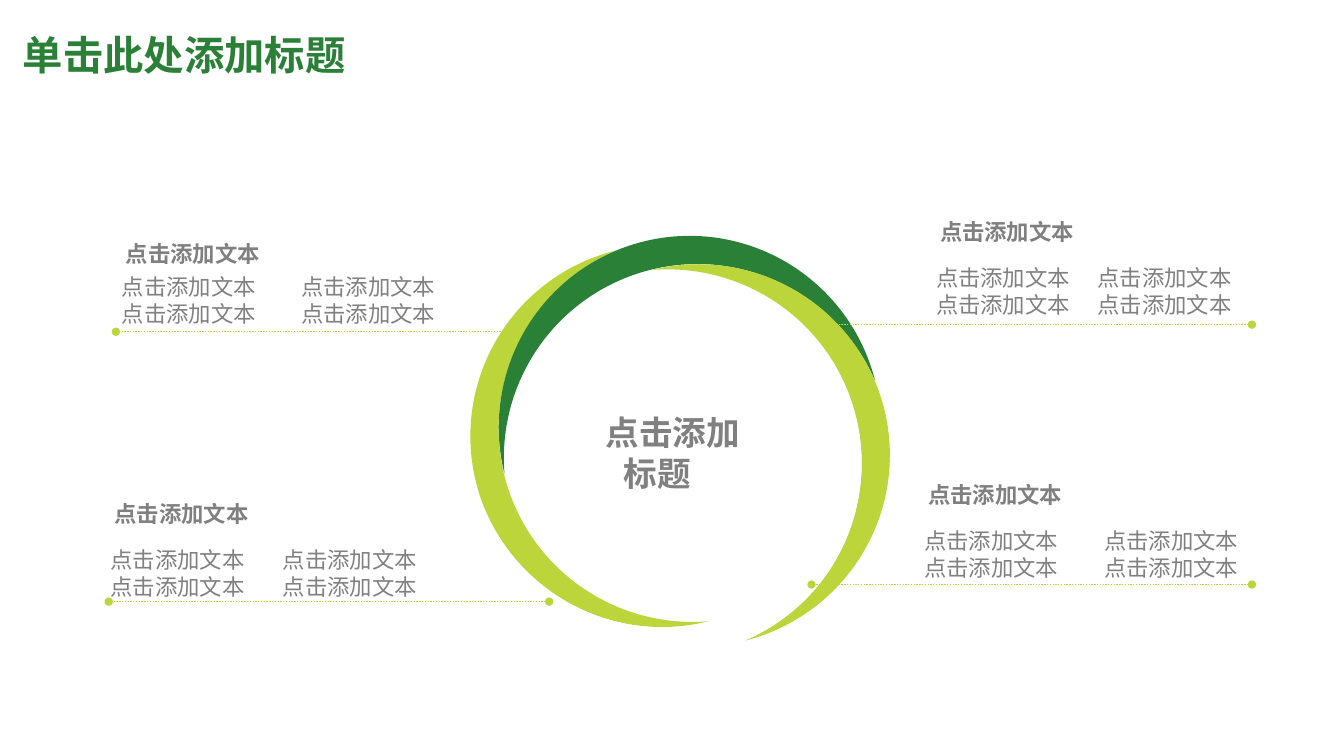
from math import cos, radians, sin

from lxml import etree
from pptx import Presentation
from pptx.dml.color import RGBColor
from pptx.enum.dml import MSO_LINE
from pptx.enum.shapes import MSO_CONNECTOR, MSO_SHAPE
from pptx.enum.text import MSO_ANCHOR, PP_ALIGN
from pptx.oxml.ns import qn
from pptx.util import Cm, Pt

LIME = RGBColor(0xBB, 0xD5, 0x3B)
GREEN = RGBColor(0x2A, 0x80, 0x37)
WHITE = RGBColor(0xFF, 0xFF, 0xFF)
GREY = RGBColor(0x80, 0x80, 0x80)
SANS = "Noto Sans CJK SC"
LEFT, CENTER = PP_ALIGN.LEFT, PP_ALIGN.CENTER
TOP, MIDDLE = MSO_ANCHOR.TOP, MSO_ANCHOR.MIDDLE
DOTS, MOON = MSO_LINE.ROUND_DOT, MSO_SHAPE.MOON
STRAIGHT = MSO_CONNECTOR.STRAIGHT

# All lengths in centimetres
TITLE = "单击此处添加标题"
CORE = ["点击添加", "标题"]
HEAD = "点击添加文本"
BODY = ["点击添加文本", "点击添加文本"]
# Both column lefts, column width, head top, body top, line left, right, height
BLOCKS = [
    ((2.82, 7.34), 4.98, 5.92, 6.76, (2.92, 12.78, 8.36)),
    ((2.54, 6.88), 4.8, 12.47, 13.64, (2.74, 13.84, 15.16)),
    ((23.34, 27.41), 4.47, 5.38, 6.53, (20.45, 31.55, 8.18)),
    ((23.04, 27.58), 5.03, 11.99, 13.16, (20.45, 31.55, 14.73)),
]
# Moons clockwise from the left one
MOONS = [LIME, GREEN, LIME, WHITE]
HUB_X, HUB_Y, REACH = 17.14, 11.23, 2.82
MOON_W, MOON_H = 4.83, 9.63

deck = Presentation()
deck.slide_width, deck.slide_height = Cm(33.87), Cm(19.05)
slide = deck.slides.add_slide(deck.slide_layouts[6])
shapes = slide.shapes


def text(lines, x, y, w, h, size=16, bold=False, color=GREY, font=SANS,
         align=LEFT, anchor=TOP):
    frame = shapes.add_textbox(Cm(x), Cm(y), Cm(w), Cm(h)).text_frame
    frame.word_wrap = True
    frame.vertical_anchor = anchor
    for i, line in enumerate(lines):
        para = frame.paragraphs[0] if i == 0 else frame.add_paragraph()
        para.alignment = align
        run = para.add_run()
        run.text = line
        run.font.name, run.font.size, run.font.bold = font, Pt(size), bold
        run.font.color.rgb = color
        etree.SubElement(run.font._element, qn("a:ea"), typeface=SANS)
    return frame


def moon(step, color):
    """Place one crescent of the ring, a quarter turn per step."""
    way = radians(173 + 90 * step)
    x = HUB_X + REACH * cos(way) - MOON_W / 2
    y = HUB_Y + REACH * sin(way) - MOON_H / 2
    part = shapes.add_shape(MOON, Cm(x), Cm(y), Cm(MOON_W), Cm(MOON_H))
    part.adjustments[0] = 0.152
    part.rotation = (345.9 + 90 * step) % 360
    part.shadow.inherit = False
    part.fill.solid()
    part.fill.fore_color.rgb = color
    part.line.fill.background()


def rule(left, right, y):
    """Draw a dotted line with a dot at each end."""
    link = shapes.add_connector(STRAIGHT, Cm(right), Cm(y), Cm(left), Cm(y))
    link.line.color.rgb = LIME
    link.line.width = Pt(1)
    link.line.dash_style = DOTS
    stroke = link.line._get_or_add_ln()
    for end in ("a:headEnd", "a:tailEnd"):
        etree.SubElement(stroke, qn(end), type="oval")
    etree.SubElement(link._element.spPr, qn("a:effectLst"))


for step, color in enumerate(MOONS):
    moon(step, color)

core = text(CORE, 14.94, 10.26, 4.04, 2.31, size=24, bold=True, align=CENTER)
last = core.paragraphs[1]
last.alignment = LEFT
last._p.get_or_add_pPr().set("marL", str(Cm(0.53)))

for cols, width, head_y, body_y, line in BLOCKS:
    for x in cols:
        text(BODY, x, body_y, width, 1.63)
    text([HEAD], cols[0] + 0.1, head_y, width * 1.27, 0.94, bold=True)
    rule(*line)

text([TITLE], 0.33, 0.69, 30.48, 1.37, size=28.8, bold=True, color=GREEN,
     font="Calibri", anchor=MIDDLE)

deck.save("out.pptx")
